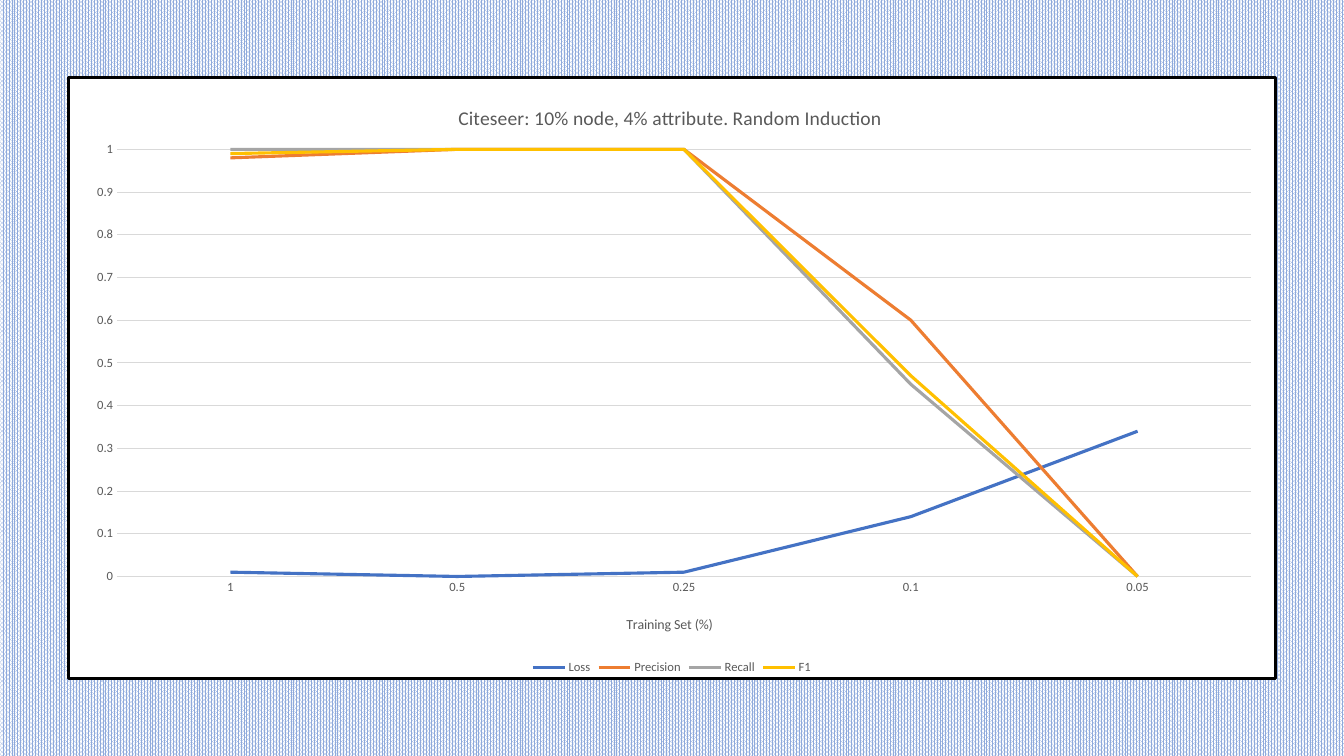
"""Build a slide with a line chart of training results on a patterned ground."""
import dataclasses
import typing

import lxml.etree
import pptx
import pptx.chart.data
import pptx.dml.color
import pptx.enum.chart
import pptx.enum.dml
import pptx.oxml
import pptx.oxml.ns
import pptx.util

Pt = pptx.util.Pt
qn = pptx.oxml.ns.qn
HUES = {"ground": "8FAADC", "paper": "FFFFFF", "frame": "000000", "text": "595959",
        "grid": "D9D9D9", "blue": "4472C4", "orange": "ED7D31", "gray": "A5A5A5",
        "gold": "FFC000"}
FACE = "Calibri"


@dataclasses.dataclass
class Trace:
    name: str
    vals: tuple[float, ...]
    hue: str


STEPS = ("1", "0.5", "0.25", "0.1", "0.05")
TRACES = (
    Trace("Loss", (0.01, 0, 0.01, 0.14, 0.34), "blue"),
    Trace("Precision", (0.98, 1, 1, 0.6, 0), "orange"),
    Trace("Recall", (1, 1, 1, 0.45, 0), "gray"),
    Trace("F1", (0.99, 1, 1, 0.47, 0), "gold"),
)


def tint(hue: str) -> pptx.dml.color.RGBColor:
    return pptx.dml.color.RGBColor.from_string(HUES[hue])


def put(item: typing.Any, traits: dict[str, typing.Any]) -> None:
    for key, val in traits.items():
        setattr(item, key, val)


def set_font(font: typing.Any, size: float) -> None:
    put(font, {"name": FACE, "size": Pt(size), "bold": False})
    font.color.rgb = tint("text")


def set_line(line: typing.Any, hue: str, width: float) -> None:
    line.color.rgb = tint(hue)
    line.width = Pt(width)


def place(node: typing.Any, spot: dict[str, float], inner: bool = False) -> None:
    """Give a chart part a fixed place, in fractions of the chart."""
    for old in node.findall(qn("c:layout")):
        node.remove(old)
    layout = lxml.etree.Element(qn("c:layout"))
    manual = lxml.etree.SubElement(layout, qn("c:manualLayout"))
    rows = {"layoutTarget": "inner"} if inner else {}
    rows |= {"xMode": "edge", "yMode": "edge"} | {k: str(v) for k, v in spot.items()}
    for tag, val in rows.items():
        lxml.etree.SubElement(manual, qn("c:" + tag)).set("val", val)
    node.insert(0 if inner else 1, layout)


def set_title(owner: typing.Any, title: typing.Any, text: str, size: float,
              spot: dict[str, float]) -> None:
    owner.has_title = True
    title.text_frame.text = text
    set_font(title.text_frame.paragraphs[0].runs[0].font, size)
    place(title._element, spot)


def set_frame(chart: typing.Any) -> None:
    """Give the chart a plain fill and a square black border."""
    space = chart._chartSpace
    for old in space.findall(qn("c:roundedCorners")):
        space.remove(old)
    square = lxml.etree.Element(qn("c:roundedCorners"))
    square.set("val", "0")
    space.find(qn("c:date1904")).addnext(square)
    look = pptx.oxml.parse_xml(
        f'<c:spPr {pptx.oxml.ns.nsdecls("c", "a")}>'
        f'<a:solidFill><a:srgbClr val="{HUES["paper"]}"/></a:solidFill>'
        f'<a:ln w="{Pt(2.25)}"><a:solidFill><a:srgbClr val="{HUES["frame"]}"/>'
        '</a:solidFill></a:ln></c:spPr>')
    space.find(qn("c:chart")).addnext(look)


def set_axes(chart: typing.Any) -> None:
    ticks = pptx.enum.chart.XL_TICK_MARK.NONE
    for axis in (chart.category_axis, chart.value_axis):
        put(axis, {"major_tick_mark": ticks, "minor_tick_mark": ticks})
        set_font(axis.tick_labels.font, 9)
    base, side = chart.category_axis, chart.value_axis
    base.has_major_gridlines = False
    set_line(base.format.line, "grid", 0.75)
    set_title(base, base.axis_title, "Training Set (%)", 10, {"x": 0.46, "y": 0.89})
    put(side, {"minimum_scale": 0, "maximum_scale": 1, "major_unit": 0.1,
               "has_major_gridlines": True})
    set_line(side.major_gridlines.format.line, "grid", 0.75)
    side.format.line.fill.background()


def add_graph(slide: typing.Any) -> None:
    data = pptx.chart.data.CategoryChartData()
    data.categories = STEPS
    for trace in TRACES:
        data.add_series(trace.name, trace.vals)
    chart = slide.shapes.add_chart(pptx.enum.chart.XL_CHART_TYPE.LINE,
                                   Pt(48), Pt(54), Pt(864), Pt(432), data).chart
    set_font(chart.font, 10)
    set_frame(chart)
    set_title(chart, chart.chart_title,
              "Citeseer: 10% node, 4% attribute. Random Induction", 14,
              {"x": 0.32, "y": 0.04})
    set_axes(chart)
    chart.has_legend = True
    put(chart.legend, {"position": pptx.enum.chart.XL_LEGEND_POSITION.BOTTOM,
                       "include_in_layout": False})
    set_font(chart.legend.font, 9)
    chart.plots[0].vary_by_categories = False
    for line, trace in zip(chart.plots[0].series, TRACES):
        line.smooth = False
        set_line(line.format.line, trace.hue, 2.25)
    place(chart._chartSpace.chart.plotArea,
          {"x": 0.04, "y": 0.12, "w": 0.94, "h": 0.71}, inner=True)


def main() -> None:
    deck = pptx.Presentation()
    put(deck, {"slide_width": Pt(960), "slide_height": Pt(540)})
    slide = deck.slides.add_slide(deck.slide_layouts[6])
    fill = slide.background.fill
    fill.patterned()
    fill.pattern = pptx.enum.dml.MSO_PATTERN.PERCENT_80
    fill.fore_color.rgb = tint("ground")
    fill.back_color.rgb = tint("paper")
    add_graph(slide)
    deck.save("out.pptx")


if __name__ == "__main__":
    main()
